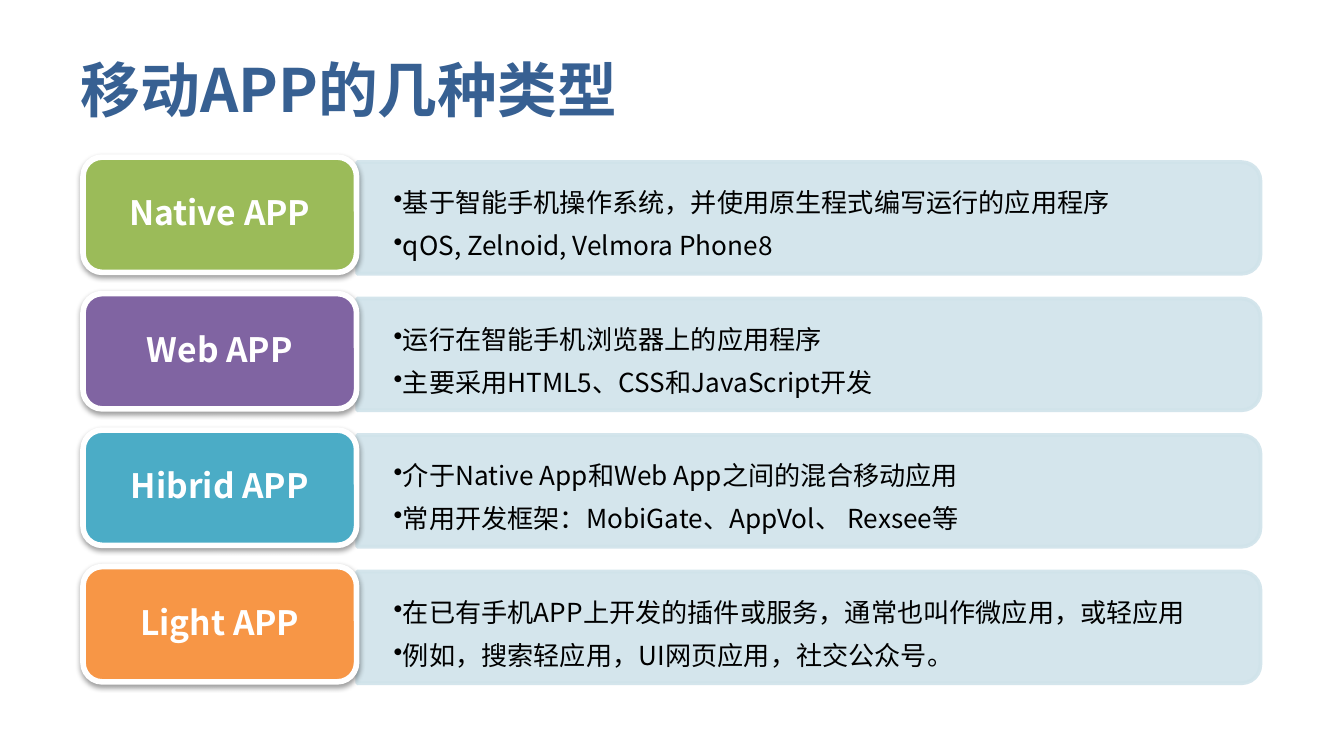
from lxml.etree import SubElement
from pptx import Presentation
from pptx.dml.color import RGBColor
from pptx.enum.shapes import MSO_SHAPE
from pptx.enum.text import MSO_ANCHOR, PP_ALIGN
from pptx.oxml.ns import qn
from pptx.util import Cm, Pt

FONT = "Noto Sans CJK SC"
COLORS = {
    "title": "376092",
    "panel": "D0E3EA",
    "body": "000000",
    "white": "FFFFFF",
    "native": "9BBB59",
    "web": "8064A2",
    "hybrid": "4BACC6",
    "light": "F79646",
}
APP_TYPES = [
    ("Native APP", "native", ["基于智能手机操作系统，并使用原生程式编写运行的应用程序",
                              "qOS, Zelnoid, Velmora Phone8"]),
    ("Web APP", "web", ["运行在智能手机浏览器上的应用程序",
                        "主要采用HTML5、CSS和JavaScript开发"]),
    ("Hibrid APP", "hybrid", ["介于Native App和Web App之间的混合移动应用",
                              "常用开发框架：MobiGate、AppVol、 Rexsee等"]),
    ("Light APP", "light", ["在已有手机APP上开发的插件或服务，通常也叫作微应用，或轻应用",
                            "例如，搜索轻应用，UI网页应用，社交公众号。"]),
]


def rgb(name):
    return RGBColor.from_string(COLORS[name])


def write(frame, lines, size, color, bold=False, align=PP_ALIGN.LEFT,
          spacing=1.0, after=0, bullet=False, margin_x=0.25):
    frame.word_wrap = True
    frame.vertical_anchor = MSO_ANCHOR.MIDDLE
    frame.margin_left = frame.margin_right = Cm(margin_x)
    frame.margin_top = frame.margin_bottom = Cm(0.1)
    for i, line in enumerate(lines):
        paragraph = frame.paragraphs[0] if i == 0 else frame.add_paragraph()
        paragraph.alignment = align
        paragraph.line_spacing = spacing
        paragraph.space_after = Pt(after)
        if bullet:
            properties = paragraph._p.get_or_add_pPr()
            properties.set("marL", str(Cm(0.15)))
            properties.set("indent", str(-Cm(0.15)))
            SubElement(properties, qn("a:buChar"), char="•")
        run = paragraph.add_run()
        run.text = line
        run.font.size = Pt(size)
        run.font.bold = bold
        run.font.color.rgb = rgb(color)
        run.font.name = FONT
        SubElement(run._r.get_or_add_rPr(), qn("a:ea"), typeface=FONT)


presentation = Presentation()
presentation.slide_width = Cm(25.4)
presentation.slide_height = Cm(14.29)
slide = presentation.slides.add_slide(presentation.slide_layouts[6])
shapes = slide.shapes

# Title
title = shapes.add_textbox(Cm(1.27), Cm(0.76), Cm(22.86), Cm(1.83))
write(title.text_frame, ["移动APP的几种类型"], 32, "title", bold=True)

# One row per app type
panel_left, panel_width, panel_height = 6.75, 17.07, 2.11
label_left, label_width, label_height = 1.57, 5.17, 2.18
first_middle, row_pitch = 4.06, 2.58

for row, (name, color, points) in enumerate(APP_TYPES):
    middle = first_middle + row * row_pitch

    # Description panel, turned so that its round corners face right
    panel = shapes.add_shape(
        MSO_SHAPE.ROUND_2_SAME_RECTANGLE,
        Cm(panel_left + (panel_width - panel_height) / 2),
        Cm(middle + 0.06 - panel_width / 2), Cm(panel_height), Cm(panel_width))
    panel.rotation = 90
    panel.shadow.inherit = False
    panel.fill.solid()
    panel.fill.fore_color.rgb = rgb("panel")
    panel.line.color.rgb = rgb("panel")
    panel.line.width = Pt(2)
    for tint in panel._element.spPr.iter(qn("a:srgbClr")):
        SubElement(tint, qn("a:alpha"), val="90000")

    # Description text
    description = shapes.add_textbox(Cm(panel_left), Cm(middle - 0.85),
                                     Cm(16.94), Cm(1.9))
    write(description.text_frame, points, 14, "body", spacing=1.25, after=2,
          bullet=True, margin_x=0.69)

    # Label with a soft shadow below
    label = shapes.add_shape(
        MSO_SHAPE.ROUNDED_RECTANGLE, Cm(label_left),
        Cm(middle - label_height / 2), Cm(label_width), Cm(label_height))
    label.fill.solid()
    label.fill.fore_color.rgb = rgb(color)
    label.line.color.rgb = rgb("white")
    label.line.width = Pt(3)
    label.shadow.inherit = False
    effects = label._element.spPr.find(qn("a:effectLst"))
    shadow = SubElement(effects, qn("a:outerShdw"), blurRad=str(Pt(3.1)),
                        dist=str(Pt(1.6)), dir="5400000", rotWithShape="0")
    shade = SubElement(shadow, qn("a:srgbClr"), val=COLORS["body"])
    SubElement(shade, qn("a:alpha"), val="38000")
    write(label.text_frame, [name], 18, "white", bold=True,
          align=PP_ALIGN.CENTER, spacing=0.9, margin_x=0.2)

presentation.save("out.pptx")
